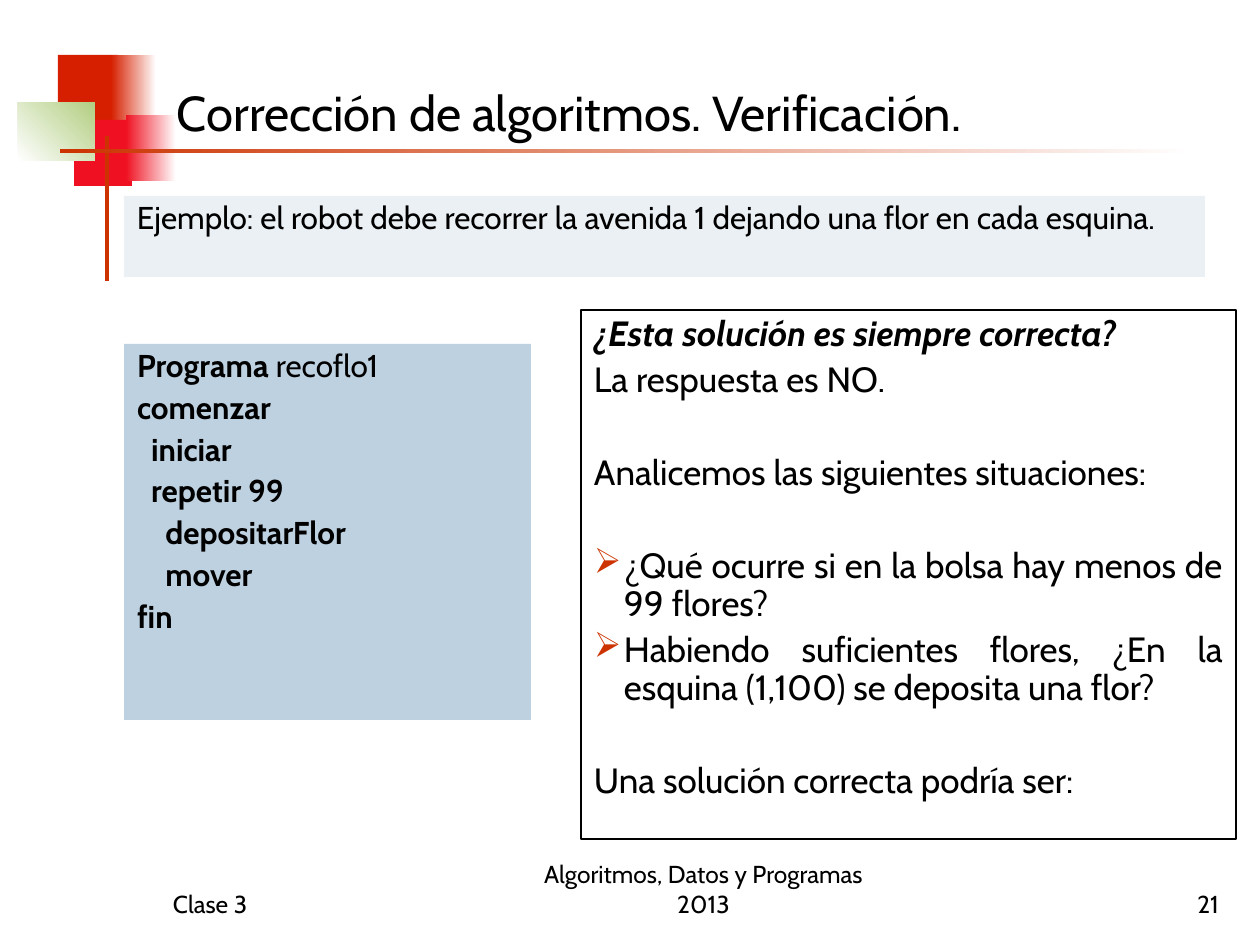
from dataclasses import dataclass

from lxml.etree import SubElement
from pptx import Presentation
from pptx.dml.color import RGBColor
from pptx.enum.shapes import MSO_SHAPE
from pptx.enum.text import MSO_ANCHOR, MSO_AUTO_SIZE, PP_ALIGN
from pptx.oxml.ns import qn
from pptx.util import Pt


@dataclass(frozen=True)
class Theme:
    font: str = "Cabin"
    text: str = "000000"
    white: str = "FFFFFF"
    orange: str = "D61F00"
    red: str = "EF1121"
    green: str = "B3CE82"
    rust: str = "CC3300"
    code_fill: str = "BED1E0"
    example_fill: str = "EBF0F5"
    title_size: int = 28
    question_size: int = 20
    body_size: int = 18
    footer_size: int = 14


THEME = Theme()

# A run is (text, style), where the style holds "b" for bold and "i" for italic.
TITLE = [("Corrección de algoritmos. Verificación.", "")]
EXAMPLE = [
    [("Ejemplo: el robot debe recorrer la avenida 1 dejando una flor en cada esquina.", "")],
]
CODE = [
    [("Programa", "b"), (" recoflo1", "")],
    [("comenzar", "b")],
    [("  iniciar", "b")],
    [("  repetir 99", "b")],
    [("    depositarFlor", "b")],
    [("    mover", "b")],
    [("fin", "b")],
]
# (kind, runs): a "block" stands apart from the paragraph above it
QUESTIONS = [
    ("line", [("¿Esta solución es siempre correcta?", "bi")]),
    ("line", [("La respuesta es NO.", "")]),
    ("block", [("Analicemos las siguientes situaciones:", "")]),
    ("block bullet", [("¿Qué ocurre si en la bolsa hay menos de 99 flores?", "")]),
    ("bullet", [("Habiendo suficientes flores, ¿En la esquina (1,100) se deposita una flor?", "")]),
    ("block", [("Una solución correcta podría ser:", "")]),
]
FOOTERS = [  # left, width, alignment, text
    (160, 262, PP_ALIGN.LEFT, "Clase 3"),
    (504, 399, PP_ALIGN.CENTER, "Algoritmos, Datos y Programas 2013"),
    (970, 262, PP_ALIGN.RIGHT, "21"),
]
DECORATION = [  # box, first colour, last colour, gradient angle
    ((58, 55, 60, 66), THEME.orange, None, 0),
    ((111, 55, 45, 66), THEME.orange, THEME.white, 0),
    ((74, 120, 58, 66), THEME.red, None, 0),
    ((126, 115, 50, 66), THEME.red, THEME.white, 0),
    ((18, 103, 77, 58), THEME.white, THEME.green, 45),
    ((105, 136, 4, 145), THEME.rust, None, 0),
    ((60, 149, 1134, 4), THEME.rust, THEME.white, 0),
]
TITLE_BOX = (164, 50, 1002, 97)
EXAMPLE_BOX = (124, 196, 1081, 81)
CODE_BOX = (124, 344, 407, 376)
QUESTION_BOX = (581, 310, 655, 529)
FOOTER_TOP, FOOTER_HEIGHT = 861, 63
BULLET_INDENT = 30
BLOCK_GAP = 31.5


def px(n):
    return round(n * 914400 / 126)


def rgb(colour):
    return RGBColor.from_string(colour)


def add_rect(s, box, fill=None, line=None):
    sp = s.shapes.add_shape(MSO_SHAPE.RECTANGLE, *map(px, box))
    sp.shadow.inherit = False
    if fill:
        sp.fill.solid()
        sp.fill.fore_color.rgb = rgb(fill)
    else:
        sp.fill.background()
    if line:
        sp.line.color.rgb = rgb(line)
        sp.line.width = Pt(0.75)
    else:
        sp.line.fill.background()
    return sp


def add_decoration(s, box, first, last, angle):
    sp = add_rect(s, box, first)
    if last:
        sp.fill.gradient()
        sp.fill.gradient_angle = angle
        for stop, colour in zip(sp.fill.gradient_stops, (first, last)):
            stop.color.rgb = rgb(colour)


def set_frame(tf, anchor):
    tf.word_wrap = True
    tf.auto_size = MSO_AUTO_SIZE.NONE
    tf.vertical_anchor = anchor
    tf.margin_left = tf.margin_right = px(13)
    tf.margin_top = tf.margin_bottom = px(6)


def add_runs(p, runs, size, align):
    p.alignment = align
    for text, style in runs:
        r = p.add_run()
        r.text = text
        r.font.name = THEME.font
        r.font.size = Pt(size)
        r.font.bold = "b" in style
        r.font.italic = "i" in style
        r.font.color.rgb = rgb(THEME.text)


def add_bullet(p):
    pPr = p._p.get_or_add_pPr()
    pPr.set("marL", str(px(BULLET_INDENT)))
    pPr.set("indent", str(-px(BULLET_INDENT)))
    SubElement(SubElement(pPr, qn("a:buClr")), qn("a:srgbClr"), val=THEME.rust)
    SubElement(pPr, qn("a:buChar"), char="➢")


def fill_panel(sp, paragraphs, size, gap):
    """Write justified (kind, runs) paragraphs from the top of a panel."""
    tf = sp.text_frame
    set_frame(tf, MSO_ANCHOR.TOP)
    for i, (kind, runs) in enumerate(paragraphs):
        p = tf.add_paragraph() if i else tf.paragraphs[0]
        p.line_spacing = 0.9
        if i:
            p.space_before = Pt(BLOCK_GAP if "block" in kind else gap)
        if "bullet" in kind:
            add_bullet(p)
        add_runs(p, runs, size, PP_ALIGN.JUSTIFY)


def as_lines(paragraphs):
    return [("line", runs) for runs in paragraphs]


def main():
    prs = Presentation()
    prs.slide_width, prs.slide_height = px(1260), px(945)
    s = prs.slides.add_slide(prs.slide_layouts[5])

    for part in DECORATION:
        add_decoration(s, *part)

    title = s.shapes.title
    title.left, title.top, title.width, title.height = map(px, TITLE_BOX)
    set_frame(title.text_frame, MSO_ANCHOR.BOTTOM)
    add_runs(title.text_frame.paragraphs[0], TITLE, THEME.title_size, PP_ALIGN.LEFT)

    example = add_rect(s, EXAMPLE_BOX, THEME.example_fill)
    fill_panel(example, as_lines(EXAMPLE), THEME.body_size, 4.5)
    code = add_rect(s, CODE_BOX, THEME.code_fill)
    fill_panel(code, as_lines(CODE), THEME.body_size, 4.5)
    questions = add_rect(s, QUESTION_BOX, line=THEME.text)
    fill_panel(questions, QUESTIONS, THEME.question_size, 5)

    for left, width, align, text in FOOTERS:
        box = (left, FOOTER_TOP, width, FOOTER_HEIGHT)
        tf = s.shapes.add_textbox(*map(px, box)).text_frame
        set_frame(tf, MSO_ANCHOR.BOTTOM)
        add_runs(tf.paragraphs[0], [(text, "")], THEME.footer_size, align)

    prs.save("out.pptx")


if __name__ == "__main__":
    main()
